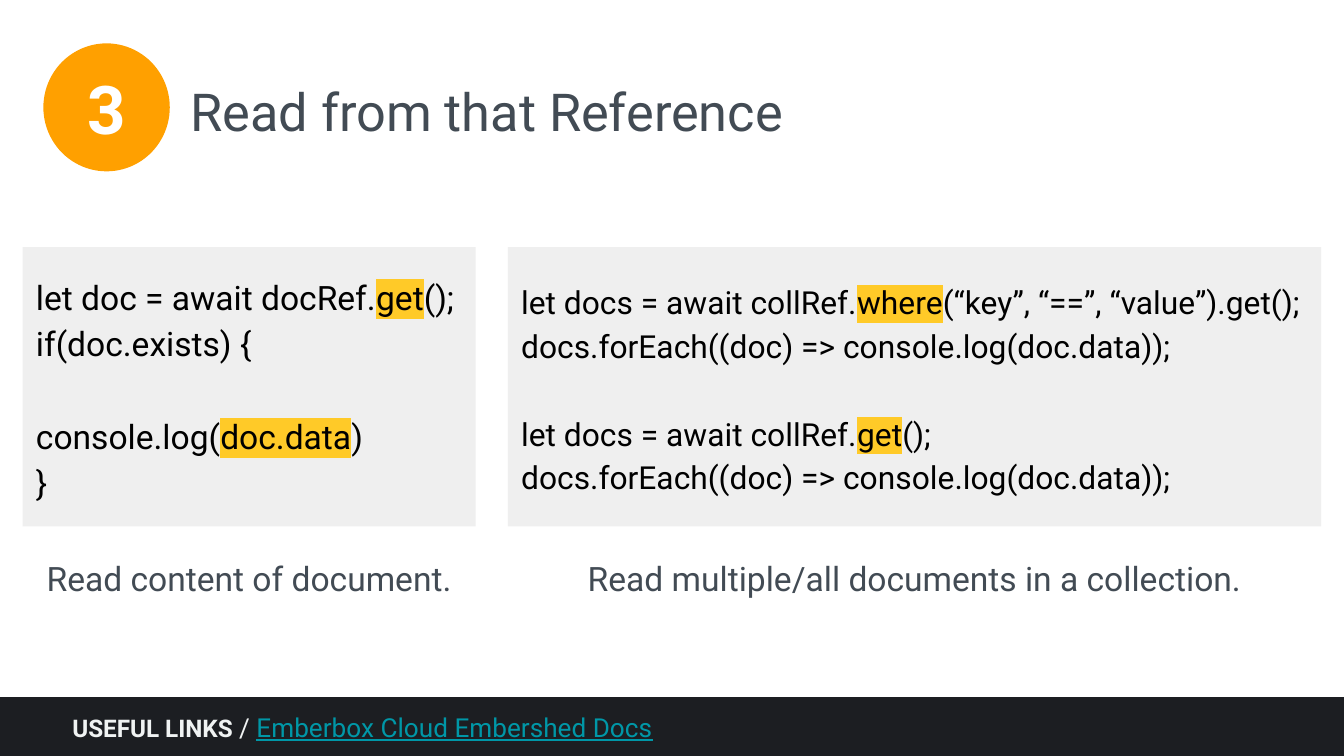
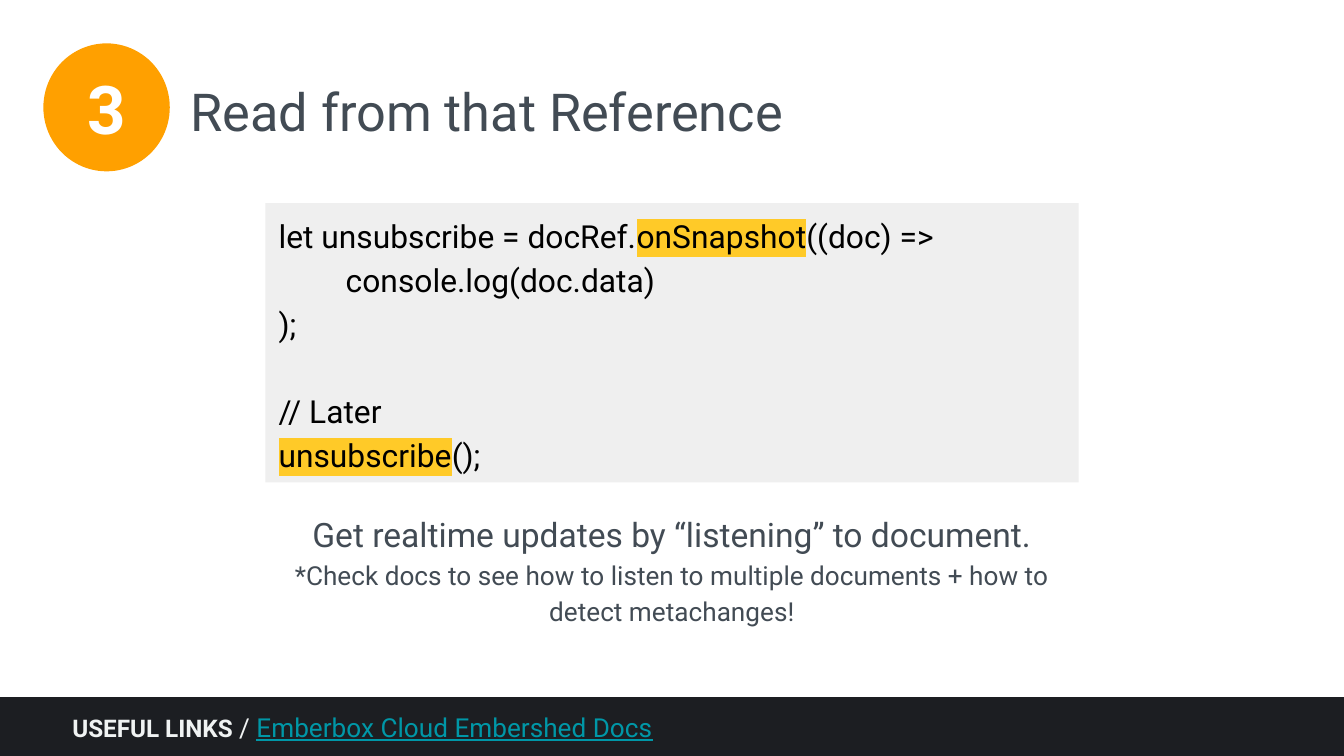
from dataclasses import dataclass

from lxml.etree import SubElement
from pptx import Presentation
from pptx.dml.color import RGBColor as RGB
from pptx.enum.shapes import MSO_SHAPE as Shape
from pptx.enum.text import MSO_ANCHOR as Anchor, PP_ALIGN as Align
from pptx.oxml.ns import qn
from pptx.util import Cm, Pt


@dataclass(frozen=True)
class Theme:
    font: str = "Roboto"
    slate: RGB = RGB(0x42, 0x4B, 0x54)
    code: RGB = RGB(0, 0, 0)
    panel: RGB = RGB(0xEF, 0xEF, 0xEF)
    highlight: str = "FFCA28"
    badge: RGB = RGB(0xFF, 0xA0, 0x00)
    white: RGB = RGB(0xFF, 0xFF, 0xFF)
    band: RGB = RGB(0x1C, 0x1E, 0x22)
    band_text: RGB = RGB(0xF0, 0xF3, 0xF3)
    link: RGB = RGB(0x00, 0x97, 0xA7)
    number_size: int = 36
    title_size: int = 28
    body_size: int = 18
    code_size: int = 17
    note_size: int = 14
    label_size: int = 13
    line_spacing: float = 1.15
    line_pitch: float = 1.38  # height of a code line relative to its type size


@dataclass(frozen=True)
class Box:
    left: float
    top: float
    width: float
    height: float

    def lengths(self):
        return Cm(self.left), Cm(self.top), Cm(self.width), Cm(self.height)


@dataclass(frozen=True)
class CodeLine:
    """One line of code; parts between bars are highlighted."""
    text: str
    blank_before: bool = False
    indented: bool = False


THEME = Theme()
SLIDE_WIDTH, SLIDE_HEIGHT = 25.4, 14.29
MARGIN = 0.43
INSET = Cm(0.25)
PANEL_HEIGHT = 5.28
WIDE_PANEL, NARROW_PANEL = 15.37, 8.56
CAPTION_GAP, CAPTION_HEIGHT = 0.24, 3.81


def prepare_frame(shape, anchor):
    frame = shape.text_frame
    frame.word_wrap = True
    frame.vertical_anchor = anchor
    frame.margin_left = frame.margin_right = INSET
    frame.margin_top = frame.margin_bottom = INSET
    return frame


def add_filled(slide, kind, box, color, anchor):
    shape = slide.shapes.add_shape(kind, *box.lengths())
    shape.shadow.inherit = False
    shape.fill.solid()
    shape.fill.fore_color.rgb = color
    shape.line.fill.background()
    return shape, prepare_frame(shape, anchor)


def add_text(slide, box):
    return prepare_frame(slide.shapes.add_textbox(*box.lengths()), Anchor.TOP)


def nth_paragraph(frame, index):
    return frame.add_paragraph() if index else frame.paragraphs[0]


def style(paragraph, size, color, align=Align.LEFT, bold=False):
    paragraph.alignment = align
    font = paragraph.font
    font.name, font.size, font.bold = THEME.font, Pt(size), bold
    font.color.rgb = color


def highlight(run):
    mark = SubElement(run._r.get_or_add_rPr(), qn("a:highlight"))
    SubElement(mark, qn("a:srgbClr")).set("val", THEME.highlight)


def add_code_panel(slide, box, lines, size):
    _, frame = add_filled(slide, Shape.RECTANGLE, box, THEME.panel, Anchor.MIDDLE)
    for index, line in enumerate(lines):
        paragraph = nth_paragraph(frame, index)
        paragraph.line_spacing = THEME.line_spacing
        if line.blank_before:
            paragraph.space_before = Pt(round(size * THEME.line_pitch, 1))
        if line.indented:
            paragraph._p.get_or_add_pPr().set("indent", str(Cm(1.27)))
        style(paragraph, size, THEME.code)
        for part, text in enumerate(line.text.split("|")):
            if text:
                run = paragraph.add_run()
                run.text = text
                if part % 2:
                    highlight(run)


def add_caption(slide, box, sentences):
    """Centre sentences in the box, the first larger than the rest."""
    frame = add_text(slide, box)
    for index, sentence in enumerate(sentences):
        paragraph = nth_paragraph(frame, index)
        paragraph.text = sentence
        paragraph.line_spacing = THEME.line_spacing
        size = THEME.note_size if index else THEME.body_size
        style(paragraph, size, THEME.slate, Align.CENTER)


def add_example(slide, box, lines, sentences, size=THEME.code_size):
    """Code panel filling the box, with its caption below."""
    add_code_panel(slide, box, lines, size)
    caption_top = box.top + box.height + CAPTION_GAP
    add_caption(slide, Box(box.left, caption_top, box.width, CAPTION_HEIGHT), sentences)


def add_header(slide, box, number, title):
    badge_width = 2.31
    badge_box = Box(box.left, box.top, badge_width, box.height)
    badge, frame = add_filled(slide, Shape.OVAL, badge_box, THEME.badge, Anchor.MIDDLE)
    badge.line.color.rgb = THEME.badge
    badge.line.width = Pt(2.25)
    frame.text = number
    style(frame.paragraphs[0], THEME.number_size, THEME.white, Align.CENTER, bold=True)

    title_left = badge_width + 0.18
    heading = add_text(slide, Box(box.left + title_left, box.top + 0.38,
                                  box.width - title_left, 1.6))
    heading.text = title
    style(heading.paragraphs[0], THEME.title_size, THEME.slate)


def add_footer(slide, box):
    _, frame = add_filled(slide, Shape.RECTANGLE, box, THEME.band, Anchor.BOTTOM)
    paragraph = frame.paragraphs[0]
    paragraph._p.get_or_add_pPr().set("marL", str(Cm(1.12)))
    style(paragraph, THEME.note_size, THEME.band_text)
    label, slash, docs = (paragraph.add_run() for _ in range(3))
    label.text, slash.text, docs.text = "USEFUL LINKS", " / ", "Emberbox Cloud Embershed Docs"
    label.font.size, label.font.bold = Pt(THEME.label_size), True
    docs.font.color.rgb, docs.font.underline = THEME.link, True


def add_step_slide(deck):
    slide = deck.slides.add_slide(deck.slide_layouts[6])
    add_header(slide, Box(0.86, 0.86, 23.04, 2.34), "3", "Read from that Reference")
    add_footer(slide, Box(0, 13.18, SLIDE_WIDTH, SLIDE_HEIGHT - 13.18))
    return slide


def build_read_once(deck):
    slide = add_step_slide(deck)
    top = 4.67
    add_example(
        slide, Box(MARGIN, top, NARROW_PANEL, PANEL_HEIGHT),
        [CodeLine("let doc = await docRef.|get|();"),
         CodeLine("if(doc.exists) {"),
         CodeLine("console.log(|doc.data|)", blank_before=True),
         CodeLine("}")],
        ["Read content of document."], THEME.body_size)

    print_each = "docs.forEach((doc) => console.log(doc.data));"
    add_example(
        slide, Box(SLIDE_WIDTH - MARGIN - WIDE_PANEL, top, WIDE_PANEL, PANEL_HEIGHT),
        [CodeLine("let docs = await collRef.|where|(“key”, “==”, “value”).get();"),
         CodeLine(print_each),
         CodeLine("let docs = await collRef.|get|();", blank_before=True),
         CodeLine(print_each)],
        ["Read multiple/all documents in a collection."])


def build_listen(deck):
    slide = add_step_slide(deck)
    add_example(
        slide, Box((SLIDE_WIDTH - WIDE_PANEL) / 2, 3.84, WIDE_PANEL, PANEL_HEIGHT),
        [CodeLine("let unsubscribe = docRef.|onSnapshot|((doc) =>"),
         CodeLine("console.log(doc.data)", indented=True),
         CodeLine(");"),
         CodeLine("// Later", blank_before=True),
         CodeLine("|unsubscribe|();")],
        ["Get realtime updates by “listening” to document.",
         "*Check docs to see how to listen to multiple documents + how to detect metachanges!"])


def main():
    deck = Presentation()
    deck.slide_width, deck.slide_height = Cm(SLIDE_WIDTH), Cm(SLIDE_HEIGHT)
    build_read_once(deck)
    build_listen(deck)
    deck.save("out.pptx")


if __name__ == "__main__":
    main()
